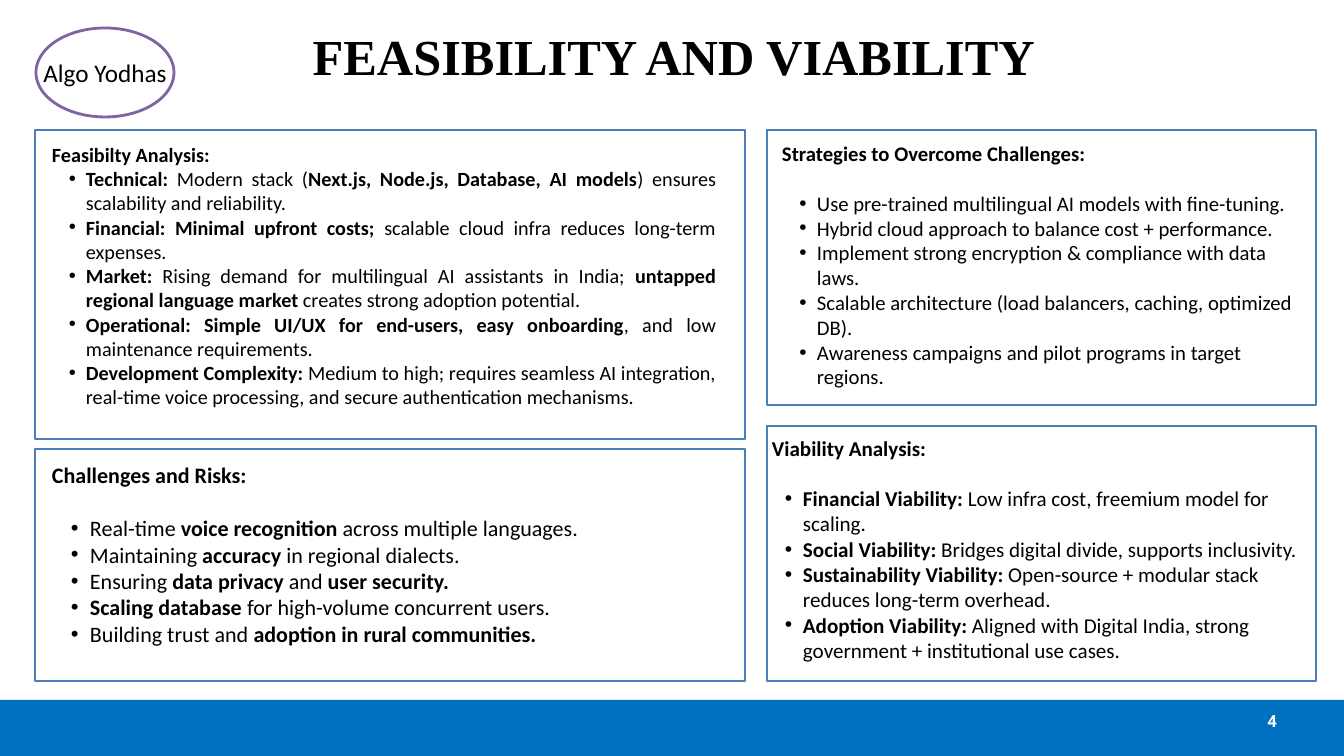
"""Build the feasibility and viability slide with four bulleted panels."""
from lxml import etree
from pptx import Presentation
from pptx import util as u
from pptx.dml.color import RGBColor
from pptx.enum import shapes, text
from pptx.oxml.ns import qn

PX = 13607


def color(value):
    return RGBColor.from_string(value)


def place(item, left, top, width, height):
    item.left, item.top, item.width, item.height = (
        n * PX for n in (left, top, width, height))
    if item.has_text_frame:
        frame = item.text_frame
        frame.auto_size = text.MSO_AUTO_SIZE.NONE
        frame.margin_left = frame.margin_right = 0
        frame.margin_top = frame.margin_bottom = 0
        frame.word_wrap = True
        frame.vertical_anchor = text.MSO_ANCHOR.MIDDLE


panels = [
    {"frame": (35, 130, 710, 309), "body": (52, 142, 664, 288),
     "size": 21.6, "spacing": 26, "indent": 34, "inset": 0, "gap": 0,
     "align": text.PP_ALIGN.JUSTIFY, "heading": "Feasibilty Analysis:",
     "bullets": [
         "**Technical:** Modern stack (**Next.js, Node.js, Database, AI models**) "
         "ensures scalability and reliability.",
         "**Financial: Minimal upfront costs;** scalable cloud infra reduces "
         "long-term expenses.",
         "**Market: **Rising demand for multilingual AI assistants in India;"
         "** untapped regional language market** creates strong adoption potential.",
         "**Operational: Simple UI/UX for end-users, easy onboarding**, and low "
         "maintenance requirements.",
         "**Development Complexity:** Medium to high; requires seamless AI "
         "integration, real-time voice processing, and secure authentication "
         "mechanisms."]},
    {"frame": (35, 449, 710, 232), "body": (52, 462, 687, 212),
     "size": 23.6, "spacing": 28.3, "indent": 38, "inset": 0, "gap": 28.3,
     "align": text.PP_ALIGN.LEFT, "heading": "Challenges and Risks:",
     "bullets": [
         "Real-time** voice recognition** across multiple languages.",
         "Maintaining** accuracy** in regional dialects.",
         "Ensuring **data privacy** and **user security.**",
         "**Scaling database** for high-volume concurrent users.",
         "Building trust and **adoption in rural communities.**"]},
    {"frame": (767, 130, 549, 275), "body": (782, 141, 521, 249),
     "size": 22.2, "spacing": 26.6, "indent": 35, "inset": 0, "gap": 26.6,
     "align": text.PP_ALIGN.LEFT, "heading": "Strategies to Overcome Challenges:",
     "bullets": [
         "Use pre-trained multilingual AI models with fine-tuning.",
         "Hybrid cloud approach to balance cost + performance.",
         "Implement strong encryption & compliance with data laws.",
         "Scalable architecture (load balancers, caching, optimized DB).",
         "Awareness campaigns and pilot programs in target regions."]},
    {"frame": (767, 426, 549, 255), "body": (767, 435, 548, 231),
     "size": 22.6, "spacing": 27.1, "indent": 36, "inset": 5, "gap": 27.1,
     "align": text.PP_ALIGN.LEFT, "heading": "Viability Analysis:",
     "bullets": [
         "**Financial Viability:** Low infra cost, freemium model for scaling.",
         "**Social Viability: **Bridges digital divide, supports inclusivity.",
         "**Sustainability Viability:** Open-source + modular stack reduces "
         "long-term overhead.",
         "**Adoption Viability:** Aligned with Digital India, strong government "
         "+ institutional use cases."]},
]

deck = Presentation()
deck.slide_width, deck.slide_height = u.Inches(20), u.Inches(11.25)
page = deck.slides.add_slide(deck.slide_layouts[4])

footer = page.shapes.add_shape(shapes.MSO_SHAPE.RECTANGLE, 0, 0, 0, 0)
place(footer, 0, 700, 1344, 56)
footer.shadow.inherit = False
footer.fill.solid()
footer.fill.fore_color.rgb = color("0070C0")
footer.line.fill.background()

title = page.shapes.title
place(title, 69, -11, 1210, 132)
team = page.shapes.add_shape(shapes.MSO_SHAPE.OVAL, 0, 0, 0, 0)
place(team, 36, 28, 138, 89)
team.shadow.inherit = False
team.fill.solid()
team.fill.fore_color.rgb = color("FFFFFF")
team.line.color.rgb = color("8064A2")
team.line.width = u.Pt(3)
team.text_frame.word_wrap = False
number = page.shapes.add_textbox(0, 0, 0, 0)
place(number, 963, 700, 314, 41)

labels = [
    (title, "FEASIBILITY AND VIABILITY", "Times New Roman", 54, 64.8, "000000",
     True, text.PP_ALIGN.CENTER),
    (team, "Algo Yodhas", "Calibri", 27, 32.4, "000000",
     False, text.PP_ALIGN.CENTER),
    (number, "4", "Roboto", 18, 21.6, "FFFFFF", True, text.PP_ALIGN.RIGHT),
]
for box, words, face, size, spacing, ink, bold, align in labels:
    box.text_frame.text = words
    para = box.text_frame.paragraphs[0]
    para.alignment = align
    para.line_spacing = u.Pt(spacing)
    para.font.name, para.font.size, para.font.bold = face, u.Pt(size), bold
    para.font.color.rgb = color(ink)

for index, panel in enumerate(panels, start=1):
    border = page.shapes.add_shape(shapes.MSO_SHAPE.RECTANGLE, 0, 0, 0, 0)
    place(border, *panel["frame"])
    border.shadow.inherit = False
    border.fill.background()
    border.line.color.rgb = color("4A7EBB")
    border.line.width = u.Pt(3)

    body = page.placeholders[index]
    place(body, *panel["body"])
    body.text_frame.vertical_anchor = text.MSO_ANCHOR.TOP
    lines = [f"**{panel['heading']}**", *panel["bullets"]]
    for row, line in enumerate(lines):
        para = body.text_frame.add_paragraph() if row else body.text_frame.paragraphs[0]
        para.level = 1 if row else 0
        para.alignment = panel["align"]
        para.line_spacing = u.Pt(panel["spacing"])
        para.space_before = u.Pt(0)
        para.space_after = u.Pt(0 if row else panel["gap"])
        props = para._p.get_or_add_pPr()
        props.set("marL", str((panel["indent"] if row else panel["inset"]) * PX))
        props.set("indent", str(-panel["indent"] * PX // 2 if row else 0))
        if row:
            etree.SubElement(props, qn("a:buFont"), typeface="Arial")
            etree.SubElement(props, qn("a:buChar"), char="•")
        else:
            etree.SubElement(props, qn("a:buNone"))
        para.font.name, para.font.size = "Calibri", u.Pt(panel["size"])
        para.font.color.rgb = color("000000")
        for part, words in enumerate(line.split("**")):
            if words:
                span = para.add_run()
                span.text = words
                span.font.bold = part % 2 == 1

deck.save("out.pptx")
